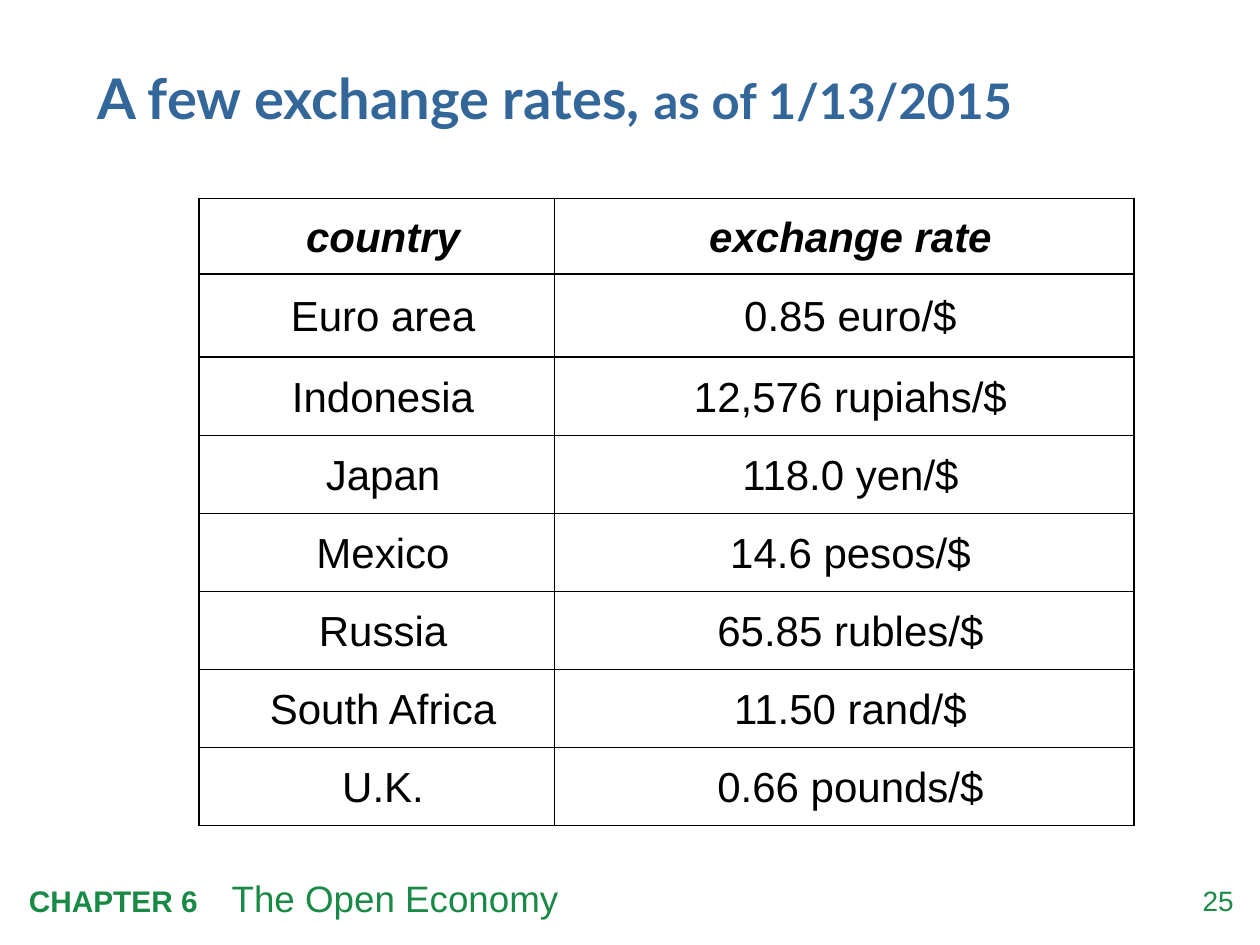
from dataclasses import dataclass

from lxml.etree import SubElement
from pptx import Presentation
from pptx.dml.color import RGBColor as Color
from pptx.enum.text import MSO_ANCHOR as Anchor, MSO_AUTO_SIZE as AutoSize, PP_ALIGN as Align
from pptx.oxml.ns import qn
from pptx.util import Inches, Pt


@dataclass(frozen=True)
class Theme:
    """Colours, fonts and type sizes of the slide."""
    heading: str = "336699"
    footer: str = "198A46"
    ink: str = "000000"
    paper: str = "FFFFFF"
    heading_font: str = "Lato"
    body_font: str = "Arial"
    title_size: int = 32
    date_size: int = 28
    cell_size: int = 24
    chapter_size: int = 17
    subject_size: int = 21
    number_size: int = 16
    border: int = 1
    leading: float = 1.05


THEME = Theme()
WIDTH, HEIGHT = Inches(10), Inches(7.5)
COLUMNS = (2.82, 4.6)
HEADER_HEIGHT, FIRST_HEIGHT, ROW_HEIGHT = 0.6, 0.66, 0.62
RATES = (
    ("country", "exchange rate"),
    ("Euro area", "0.85 euro/$"),
    ("Indonesia", "12,576 rupiahs/$"),
    ("Japan", "118.0 yen/$"),
    ("Mexico", "14.6 pesos/$"),
    ("Russia", "65.85 rubles/$"),
    ("South Africa", "11.50 rand/$"),
    ("U.K.", "0.66 pounds/$"),
)


def apply(target, values):
    """Set each named attribute of the target."""
    for name, value in values.items():
        setattr(target, name, value)


def margins(left, top, right, bottom):
    """Return inner margins, given in inches, as format values."""
    names = ("margin_left", "margin_top", "margin_right", "margin_bottom")
    return dict(zip(names, map(Inches, (left, top, right, bottom))))


def place(left, top, width, height):
    """Turn shares of the slide's size into a position and a size."""
    return {"left": int(WIDTH * left), "top": int(HEIGHT * top),
            "width": int(WIDTH * width), "height": int(HEIGHT * height)}


def add_span(para, text, size, color, font=THEME.body_font, bold=False, italic=False):
    """Add one formatted run to a paragraph."""
    span = para.add_run()
    span.text = text
    apply(span.font, {"name": font, "size": Pt(size), "bold": bold, "italic": italic})
    span.font.color.rgb = Color.from_string(color)


def add_title(page, parts):
    """Fill the title placeholder with runs of different sizes."""
    title = page.shapes.title
    apply(title, place(0.077, 0.032, 0.876, 0.137))
    apply(title.text_frame, {"vertical_anchor": Anchor.MIDDLE, "word_wrap": True,
                             "auto_size": AutoSize.NONE, **margins(0, 0, 0, 0)})
    para = title.text_frame.paragraphs[0]
    apply(para, {"alignment": Align.LEFT, "line_spacing": THEME.leading})
    for text, size in parts:
        add_span(para, text, size, THEME.heading, THEME.heading_font, bold=True)


def add_label(page, area, alignment, inset):
    """Add a wrapping text box and return its paragraph."""
    box = page.shapes.add_textbox(**place(*area))
    apply(box.text_frame, {"word_wrap": True, **inset})
    para = box.text_frame.paragraphs[0]
    para.alignment = alignment
    return para


def add_tab(para, position):
    """Give the paragraph a left tab stop, in inches."""
    stops = SubElement(para._p.get_or_add_pPr(), qn("a:tabLst"))
    SubElement(stops, qn("a:tab"), pos=str(Inches(position)), algn="l")


def add_footer(page):
    """Add the chapter line and the slide number."""
    para = add_label(page, (0.013, 0.92, 0.818, 0.06), Align.LEFT, margins(0.1, 0.05, 0.1, 0.05))
    add_tab(para, 1.61)
    add_span(para, "CHAPTER 6\t", THEME.chapter_size, THEME.footer, bold=True)
    add_span(para, "The Open Economy", THEME.subject_size, THEME.footer)
    para = add_label(page, (0.924, 0.935, 0.055, 0.043), Align.RIGHT, margins(0, 0, 0, 0))
    add_span(para, "25", THEME.number_size, THEME.footer)


def draw_borders(cell):
    """Draw a thin solid line on all four sides of a cell."""
    properties = cell._tc.get_or_add_tcPr()
    for side in ("lnL", "lnR", "lnT", "lnB"):
        line = SubElement(properties, qn(f"a:{side}"), w=str(Pt(THEME.border)))
        SubElement(SubElement(line, qn("a:solidFill")), qn("a:srgbClr"), val=THEME.ink)


def fill_cell(cell, text, heading):
    """Format one table cell and write its text."""
    draw_borders(cell)
    cell.fill.solid()
    cell.fill.fore_color.rgb = Color.from_string(THEME.paper)
    apply(cell, {"vertical_anchor": Anchor.MIDDLE, **margins(0.2, 0.05, 0.1, 0.05)})
    para = cell.text_frame.paragraphs[0]
    apply(para, {"alignment": Align.CENTER, "line_spacing": THEME.leading})
    add_span(para, text, THEME.cell_size, THEME.ink, bold=heading, italic=heading)


def add_rates(page):
    """Add the table of exchange rates."""
    area = place(0.158, 0.21, 0.742, 0.665)
    table = page.shapes.add_table(len(RATES), len(COLUMNS), **area).table
    apply(table, {"first_row": False, "horz_banding": False})
    for column, width in zip(table.columns, COLUMNS):
        column.width = Inches(width)
    heights = [HEADER_HEIGHT, FIRST_HEIGHT] + [ROW_HEIGHT] * (len(RATES) - 2)
    for index, (row, height, texts) in enumerate(zip(table.rows, heights, RATES)):
        row.height = Inches(height)
        for cell, text in zip(row.cells, texts):
            fill_cell(cell, text, heading=index == 0)


def main():
    """Build and save the slide."""
    deck = Presentation()
    apply(deck, {"slide_width": WIDTH, "slide_height": HEIGHT})
    page = deck.slides.add_slide(deck.slide_layouts.get_by_name("Title Only"))
    add_footer(page)
    add_title(page, (("A few exchange rates, ", THEME.title_size),
                     ("as of 1/13/2015", THEME.date_size)))
    add_rates(page)
    deck.save("out.pptx")


if __name__ == "__main__":
    main()
